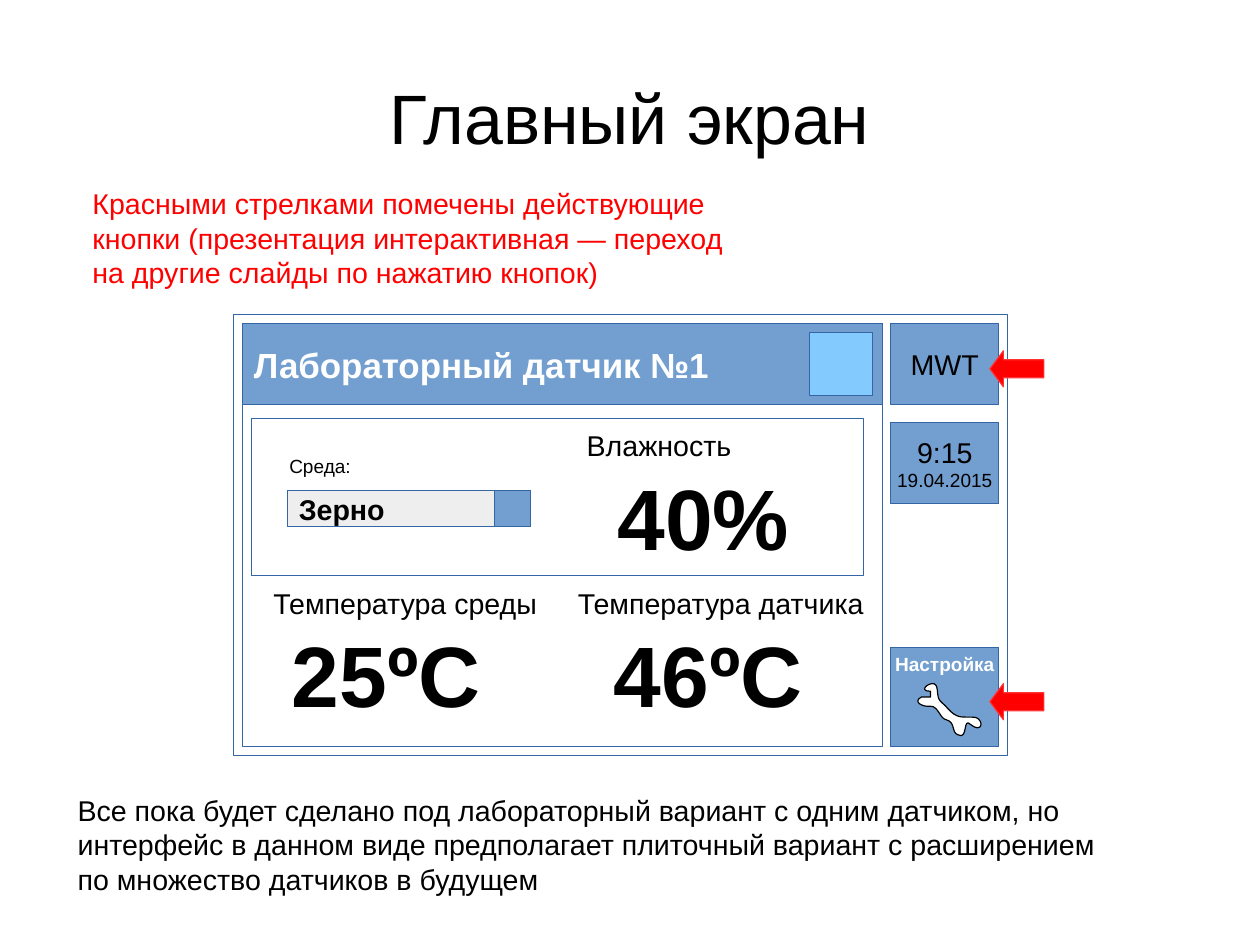
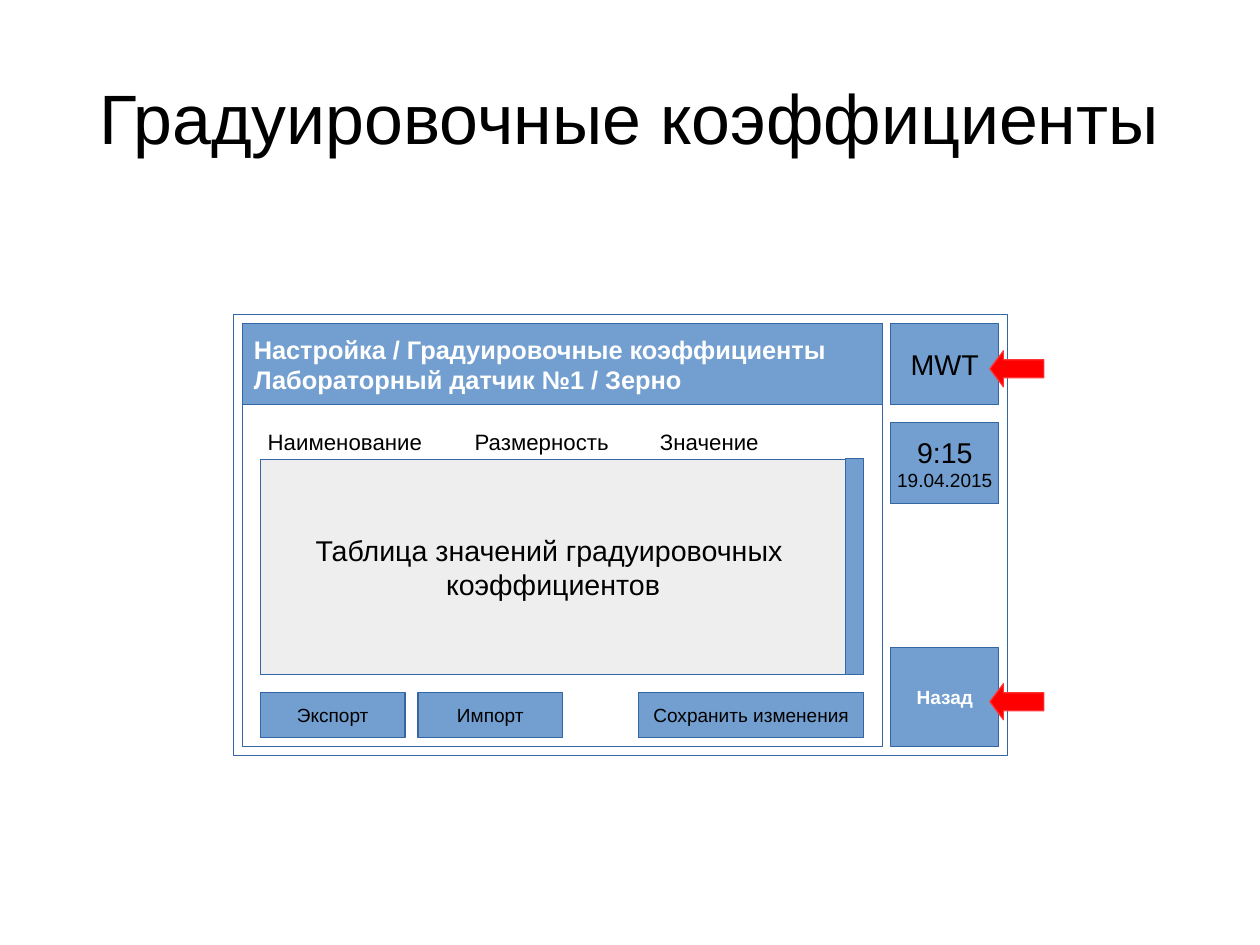
"""Build two slides that show the screens of a laboratory moisture sensor."""
from dataclasses import dataclass

from pptx import Presentation
from pptx.dml.color import RGBColor
from pptx.enum.shapes import MSO_SHAPE as Shape
from pptx.enum.text import MSO_ANCHOR as Anchor, PP_ALIGN as Align
from pptx.util import Pt

FONT = "Arial"
BLACK = RGBColor(0x00, 0x00, 0x00)
WHITE = RGBColor(0xFF, 0xFF, 0xFF)
RED = RGBColor(0xFF, 0x00, 0x00)
ARROW_EDGE = RGBColor(0xFF, 0x33, 0x33)
BLUE = RGBColor(0x72, 0x9F, 0xCF)
BLUE_EDGE = RGBColor(0x34, 0x65, 0xA4)
SKY = RGBColor(0x83, 0xCA, 0xFF)
GREY = RGBColor(0xEE, 0xEE, 0xEE)

GAP = 5.67
TILE_HEIGHT = 51
WRENCH_START = (2.2, 8.6)
WRENCH_CURVES = [
    ((-3.6, 11.5), (2.9, 15.1), (7.9, 14.4)),
    ((13, 14.4), (13.7, 22.3), (18, 23)),
    ((23.8, 24.5), (20.9, 31), (25.2, 32.4)),
    ((31.7, 36), (28.1, 20.9), (33.1, 25.9)),
    ((40.3, 31.7), (41.8, 23.8), (36.7, 21.6)),
    ((33.1, 20.9), (29.5, 21.6), (25.9, 20.9)),
    ((20.9, 19.4), (18.7, 15.1), (15.1, 12.2)),
    ((11.5, 9.4), (13, 5), (11.5, 1.4)),
    ((9.4, -2.9), (-1.4, 5), (7.9, 5)),
]
WRENCH_NOTCH = (7.9, 8.6)


@dataclass
class Box:
    """A rectangle in points."""
    x: float
    y: float
    w: float
    h: float

    def inner(self, x, y, w, h):
        """Return a box placed relative to this one."""
        return Box(self.x + x, self.y + y, w, h)

    def emu(self):
        """Return left, top, width and height as lengths."""
        return Pt(self.x), Pt(self.y), Pt(self.w), Pt(self.h)


PAGE = Box(0, 0, 793.5, 595.3)
SCREEN = PAGE.inner(147.1, 198.3, 487.6, 277.8)
PANEL = SCREEN.inner(GAP, GAP, 402.8, 266.5)


def write(frame, lines, color=BLACK, bold=False, align=Align.LEFT):
    """Fill a text frame with lines given as text and size."""
    for i, (text, size) in enumerate(lines):
        paragraph = frame.add_paragraph() if i else frame.paragraphs[0]
        paragraph.text = text
        paragraph.alignment = align
        font = paragraph.font
        font.name, font.size, font.bold = FONT, Pt(size), bold
        font.color.rgb = color


def paint(shape, fill, edge):
    """Give a shape a flat fill and a hairline."""
    shape.shadow.inherit = False
    if fill is None:
        shape.fill.background()
    else:
        shape.fill.solid()
        shape.fill.fore_color.rgb = fill
    shape.line.color.rgb = edge
    shape.line.width = Pt(0)


def block(slide, box, fill, lines=(), anchor=Anchor.MIDDLE, align=Align.CENTER, **style):
    """Add a rectangle with optional text."""
    rectangle = slide.shapes.add_shape(Shape.RECTANGLE, *box.emu())
    paint(rectangle, fill, BLUE_EDGE)
    frame = rectangle.text_frame
    frame.word_wrap = False
    frame.vertical_anchor = anchor
    write(frame, lines, align=align, **style)


def label(slide, box, text, size, **style):
    """Add a wrapping text box and return its frame."""
    frame = slide.shapes.add_textbox(*box.emu()).text_frame
    frame.word_wrap = True
    write(frame, [(text, size)], **style)
    return frame


def title(slide, text):
    """Add the centred slide title."""
    frame = label(slide, PAGE.inner(39.6, 23.8, 714.2, 99.4), text, 44, align=Align.CENTER)
    frame.vertical_anchor = Anchor.MIDDLE
    frame.margin_left = frame.margin_right = frame.margin_top = frame.margin_bottom = 0


def device_screen(slide, box, banner, action, action_anchor):
    """Add the device frame, its banner, side tiles and red arrows."""
    block(slide, box, WHITE)
    tiles = [
        (GAP, TILE_HEIGHT, [("MWT", 18)], {}),
        (68, TILE_HEIGHT, [("9:15", 18), ("19.04.2015", 12)], {}),
        (209.5, 62.7, [(action, 12)],
         {"color": WHITE, "bold": True, "anchor": action_anchor}),
    ]
    for y, height, lines, style in tiles:
        block(slide, box.inner(413.9, y, 68, height), BLUE, lines, **style)
    block(slide, PANEL, WHITE)
    block(slide, PANEL.inner(0, 0, PANEL.w, TILE_HEIGHT), BLUE, banner,
          align=Align.LEFT, color=WHITE, bold=True)
    for y in (22.7, 232.4):
        arrow = slide.shapes.add_shape(Shape.LEFT_ARROW, *box.inner(476.3, y, 34, 22.7).emu())
        arrow.adjustments[0], arrow.adjustments[1] = 0.5, 0.375
        paint(arrow, RED, ARROW_EDGE)


def bezier(start, first, second, end, steps=8):
    """Return points along a cubic curve, without its start."""
    points = []
    for t in (i / steps for i in range(1, steps + 1)):
        weights = ((1 - t) ** 3, 3 * t * (1 - t) ** 2, 3 * t * t * (1 - t), t ** 3)
        points.append(tuple(
            sum(k * v for k, v in zip(weights, axis))
            for axis in zip(start, first, second, end)))
    return points


def wrench(slide, box):
    """Add the wrench outline at the corner of the box."""
    points = [WRENCH_START]
    for curve in WRENCH_CURVES:
        points += bezier(points[-1], *curve)
    points.append(WRENCH_NOTCH)
    corners = [(Pt(box.x + x), Pt(box.y + y)) for x, y in points]
    builder = slide.shapes.build_freeform(*corners[0], scale=1.0)
    builder.add_line_segments(corners[1:], close=True)
    paint(builder.convert_to_shape(), WHITE, BLACK)


def readings(slide, box):
    """Add the medium selector and the three measured values."""
    block(slide, box.inner(11.3, 65.5, 385.5, 98.9), None)
    label(slide, box.inner(28, 84.2, 60, 21), "Среда:", 12)
    selector = box.inner(34, 110.9, 153, 22.7)
    block(slide, selector, GREY, [("Зерно", 18)], align=Align.LEFT, bold=True)
    block(slide, selector.inner(selector.w - 22.7, 0, 22.7, 22.7), BLUE)
    values = [
        ("Влажность", 215.3, 67.9, "40%", 234.7, 90.7),
        ("Температура среды", 18, 167, "25ºС", 29.5, 189.6),
        ("Температура датчика", 209.7, 167, "46ºС", 232.4, 189.6),
    ]
    for name, name_x, name_y, value, value_x, value_y in values:
        label(slide, box.inner(name_x, name_y, 205, 27.4), name, 18)
        label(slide, box.inner(value_x, value_y, 142, 67.7), value, 54, bold=True)


def coefficients(slide, box):
    """Add the column heads, the table area and the buttons."""
    for text, x in (("Наименование", 14.4), ("Размерность", 144.7), ("Значение", 261.4)):
        label(slide, box.inner(x, 67.7, 118, 23), text, 14)
    area = box.inner(17, 91, 368.5, 135.8)
    block(slide, area.inner(area.w, -0.3, 11.3, 136.1), BLUE)
    block(slide, area, GREY,
          [("Таблица значений градуировочных ", 18), ("коэффициентов", 18)])
    for text, x, width in (("Экспорт", 17, 91), ("Импорт", 116.2, 91),
                           ("Сохранить изменения", 255.1, 141.8)):
        block(slide, box.inner(x, 238.1, width, 28.4), BLUE, [(text, 12)])


def main_screen_slide(slide):
    """Build the slide of the main screen."""
    title(slide, "Главный экран")
    device_screen(slide, SCREEN, [("Лабораторный датчик №1", 22)], "Настройка", Anchor.TOP)
    readings(slide, SCREEN)
    block(slide, SCREEN.inner(362.9, 11.3, 39.7, 39.7), SKY)
    wrench(slide, SCREEN.inner(431, 232.2, 40, 33))
    label(slide, PAGE.inner(51.1, 113.8, 414, 128),
          "Красными стрелками помечены действующие кнопки (презентация "
          "интерактивная — переход на другие слайды по нажатию кнопок)", 18, color=RED)
    label(slide, PAGE.inner(41.8, 496.1, 672.5, 67.7),
          "Все пока будет сделано под лабораторный вариант с одним датчиком, но "
          "интерфейс в данном виде предполагает плиточный вариант с расширением "
          "по множество датчиков в будущем", 18)


def coefficients_slide(slide):
    """Build the slide of the calibration coefficients."""
    title(slide, "Градуировочные коэффициенты")
    banner = [("Настройка / Градуировочные коэффициенты", 16),
              ("Лабораторный датчик №1 / Зерно", 16)]
    device_screen(slide, SCREEN, banner, "Назад", Anchor.MIDDLE)
    coefficients(slide, SCREEN)


def main():
    """Build and save the presentation."""
    deck = Presentation()
    deck.slide_width, deck.slide_height = Pt(PAGE.w), Pt(PAGE.h)
    for build in (main_screen_slide, coefficients_slide):
        build(deck.slides.add_slide(deck.slide_layouts[6]))
    deck.save("out.pptx")


if __name__ == "__main__":
    main()
